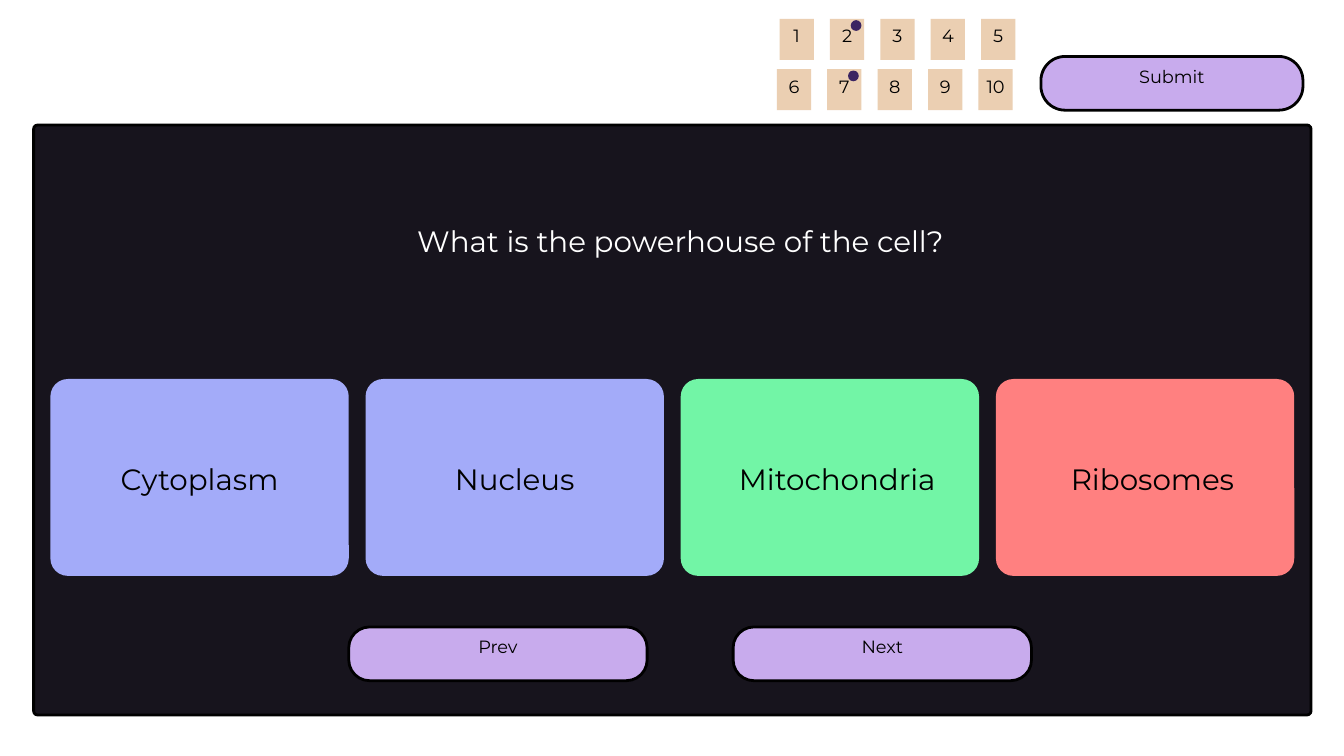
from dataclasses import dataclass

from pptx import Presentation
from pptx.dml.color import RGBColor
from pptx.enum.shapes import MSO_SHAPE as SHAPE
from pptx.enum.text import MSO_ANCHOR as ANCHOR, MSO_AUTO_SIZE as AUTO, PP_ALIGN as ALIGN
from pptx.util import Inches, Pt


@dataclass(frozen=True)
class Theme:
    font: str = "Montserrat"
    large: float = 31.5
    small: float = 19
    leading: float = 1.4
    outline: float = 3
    black: str = "000000"
    white: str = "FFFFFF"
    panel: str = "17141D"
    neutral: str = "A3ABF9"
    correct: str = "72F5A6"
    wrong: str = "FF8080"
    button: str = "C8ABED"
    tile: str = "EBCFB2"
    flag: str = "3B2562"


T = Theme()


def add_box(s, kind, box, fill, radius=None, outlined=False):
    """Filled preset shape; box is left, top, width, height in inches."""
    sp = s.shapes.add_shape(kind, *map(Inches, box))
    sp.shadow.inherit = False
    sp.fill.solid()
    sp.fill.fore_color.rgb = RGBColor.from_string(fill)
    if outlined:
        sp.line.color.rgb = RGBColor.from_string(T.black)
        sp.line.width = Pt(T.outline)
    else:
        sp.line.fill.background()
    if radius is not None:
        sp.adjustments[0] = radius / min(box[2:])
    return sp


def write(sp, text, size, color=T.black, anchor=ANCHOR.MIDDLE, left=0, bottom=0):
    """One centred line; left and bottom insets shift it right and up."""
    tf = sp.text_frame
    tf.word_wrap = True
    tf.auto_size = AUTO.NONE
    tf.vertical_anchor = anchor
    tf.margin_left, tf.margin_bottom = Inches(left), Inches(bottom)
    tf.margin_top = tf.margin_right = 0
    p = tf.paragraphs[0]
    p.alignment = ALIGN.CENTER
    p.line_spacing = Pt(round(size * T.leading, 1))
    r = p.add_run()
    r.text = text
    r.font.name = T.font
    r.font.size = Pt(size)
    r.font.color.rgb = RGBColor.from_string(color)


def add_question(s, panel, text):
    title = s.shapes.title
    panel.element.addnext(title.element)  # bring the title in front of the panel
    title.left, title.top = Inches(1.25), Inches(3.23)
    title.width, title.height = Inches(17.75), Inches(0.59)
    write(title, text, T.large, T.white, ANCHOR.TOP)


def add_answer(s, i, text, fill, shift):
    card = add_box(s, SHAPE.ROUNDED_RECTANGLE, (0.75 + 4.69 * i, 5.64, 4.44, 2.93), fill, 0.26)
    write(card, text, T.large, left=2 * shift, bottom=0.06)


def add_button(s, text, left, top, width, radius):
    button = add_box(s, SHAPE.ROUNDED_RECTANGLE, (left, top, width, 0.8), T.button, radius, True)
    write(button, text, T.small, bottom=0.27)


def add_tile(s, number, left, top, flagged):
    tile = add_box(s, SHAPE.RECTANGLE, (left, top, 0.51, 0.61), T.tile)
    write(tile, str(number), T.small, bottom=0.16)
    if flagged:
        add_box(s, SHAPE.OVAL, (left + 0.31, top + 0.02, 0.16, 0.16), T.flag)


def main():
    prs = Presentation()
    prs.slide_width, prs.slide_height = Inches(20), Inches(11.25)
    s = prs.slides.add_slide(prs.slide_layouts[5])

    # Question panel
    panel = add_box(s, SHAPE.ROUNDED_RECTANGLE, (0.5, 1.86, 19.01, 8.78), T.panel, 0.06, True)
    add_question(s, panel, "What is the powerhouse of the cell?")

    # Answer cards
    answers = [
        ("Cytoplasm", T.neutral, 0),
        ("Nucleus", T.neutral, 0),
        ("Mitochondria", T.correct, 0.11),
        ("Ribosomes", T.wrong, 0.11),
    ]
    for i, (text, fill, shift) in enumerate(answers):
        add_answer(s, i, text, fill, shift)

    # Navigation
    add_button(s, "Prev", 5.19, 9.33, 4.44, 0.31)
    add_button(s, "Next", 10.91, 9.33, 4.44, 0.31)

    # Question numbers, with flags on the marked ones
    for row, left in enumerate((11.6, 11.56)):
        for col in range(5):
            number = row * 5 + col + 1
            add_tile(s, number, left + 0.75 * col, 0.28 + 0.75 * row, number in (2, 7))

    add_button(s, "Submit", 15.49, 0.84, 3.9, 0.36)

    prs.save("out.pptx")


if __name__ == "__main__":
    main()
